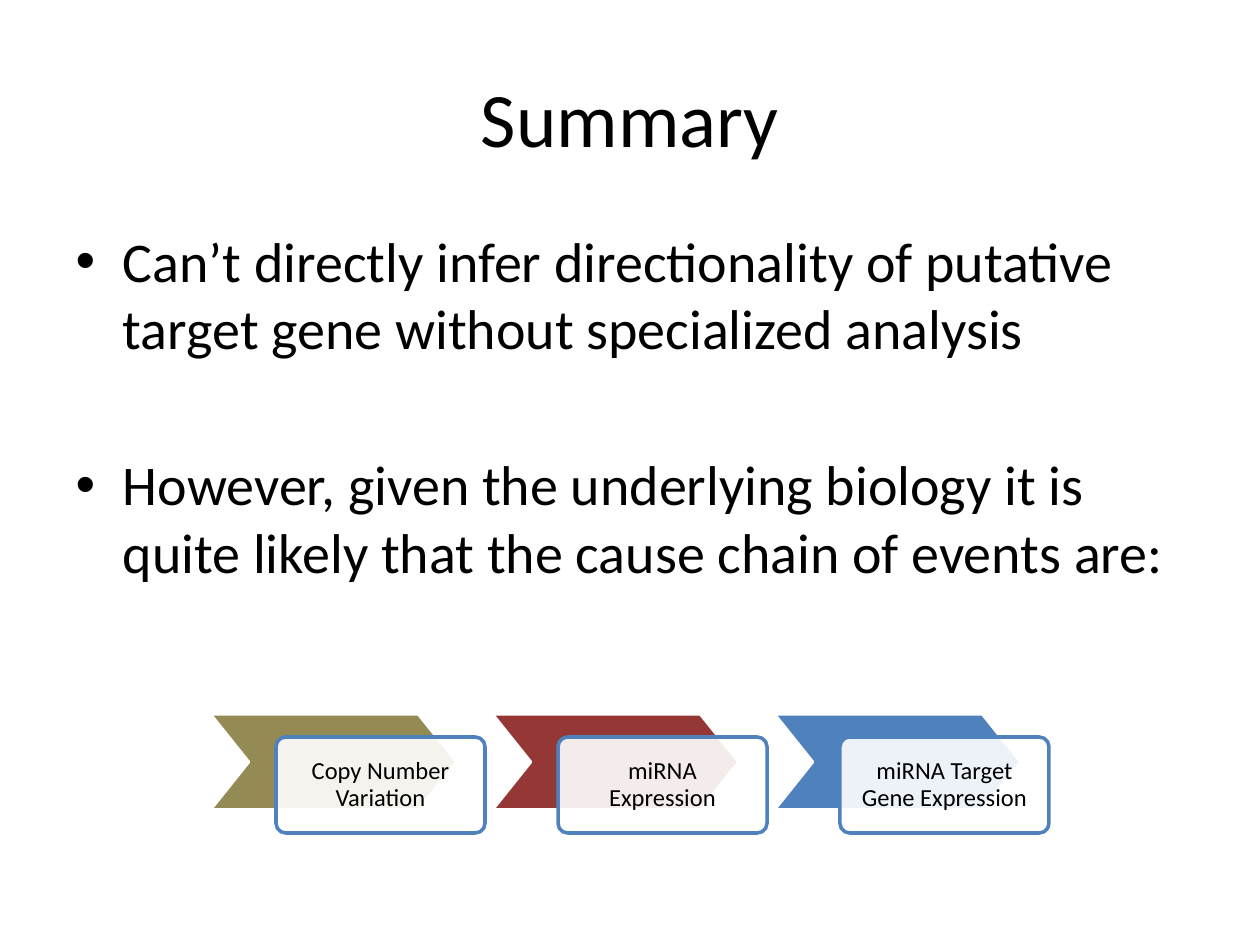
import pptx
import pptx.util
import pptx.dml.color
import pptx.enum.shapes
import pptx.enum.text
import pptx.oxml
import pptx.oxml.ns

PX = 914400 / 126  # EMU per px


def px(*values):
    return [pptx.util.Emu(round(v * PX)) for v in values]


def color(value):
    return pptx.dml.color.RGBColor.from_string(value)


ALIGN = pptx.enum.text.PP_ALIGN
ANCHOR = pptx.enum.text.MSO_ANCHOR
SHAPE = pptx.enum.shapes.MSO_SHAPE

prs = pptx.Presentation()
prs.slide_width, prs.slide_height = px(1260, 945)
s = prs.slides.add_slide(prs.slide_layouts[1])
title, body = s.placeholders

# Title and bullets
blocks = [
    (title, (63, 38, 1134, 157), 44, ["Summary"]),
    (body, (63, 220, 1134, 624), 32, [
        "Can’t directly infer directionality of putative target gene without specialized analysis",
        "However, given the underlying biology it is quite likely that the cause chain of events are:",
    ]),
]
for sp, box, size, lines in blocks:
    sp.left, sp.top, sp.width, sp.height = px(*box)
    tf = sp.text_frame
    tf.text = "\n".join(lines)
    for p in tf.paragraphs:
        for name, value in {"name": "Calibri", "size": pptx.util.Pt(size)}.items():
            setattr(p.font, name, value)
        p.font.color.rgb = color("000000")
body.text_frame.paragraphs[1].space_before = pptx.util.Pt(51)

# Chain of events: a chevron with an overlapping label card per step
steps = [
    ("Copy Number Variation", "948A54"),
    ("miRNA Expression", "953735"),
    ("miRNA Target Gene Expression", "4F81BD"),
]
CHAIN_LEFT, STEP = 210, 282
chain = s.shapes.add_group_shape()
for i, (label, fill) in enumerate(steps):
    left = CHAIN_LEFT + i * STEP
    chevron = chain.shapes.add_shape(SHAPE.CHEVRON, *px(left, 714, 247, 96))
    card = chain.shapes.add_shape(SHAPE.ROUNDED_RECTANGLE, *px(left + 66, 737, 209, 96))
    for sp, adj, back, edge in [(chevron, 0.4, fill, "FFFFFF"), (card, 0.1, "FFFFFF", "4F81BD")]:
        sp.shadow.inherit = False
        sp.adjustments[0] = adj
        sp.fill.solid()
        sp.fill.fore_color.rgb = color(back)
        sp.line.color.rgb = color(edge)
        sp.line.width = pptx.util.Pt(2)

    # Card fill is 90% opaque
    rgb = card.fill._xPr.find(".//" + pptx.oxml.ns.qn("a:srgbClr"))
    rgb.append(pptx.oxml.parse_xml(
        f'<a:alpha {pptx.oxml.ns.nsdecls("a")} val="90000"/>'))

    # Card label
    tf = card.text_frame
    inset, = px(14)
    frame = {"word_wrap": True, "vertical_anchor": ANCHOR.MIDDLE}
    frame.update({f"margin_{side}": inset for side in ("left", "top", "right", "bottom")})
    for name, value in frame.items():
        setattr(tf, name, value)
    p = tf.paragraphs[0]
    p.alignment = ALIGN.CENTER
    p.line_spacing = 0.9
    r = p.add_run()
    r.text = label
    for name, value in {"name": "Calibri", "size": pptx.util.Pt(14)}.items():
        setattr(r.font, name, value)
    r.font.color.rgb = color("000000")

prs.save("out.pptx")
